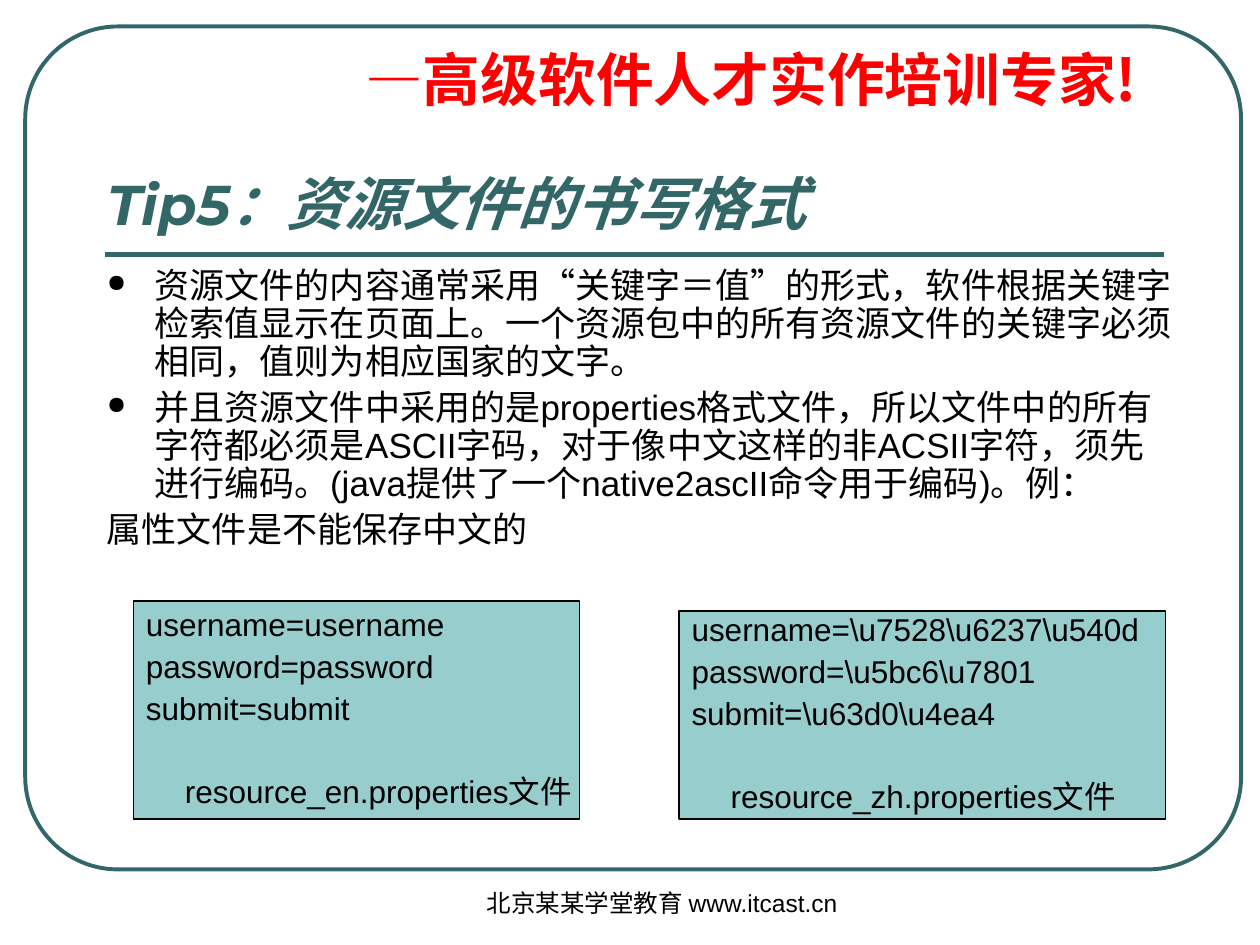
from lxml import etree
from pptx import Presentation, util as u
from pptx.dml.color import RGBColor
from pptx.enum import shapes, text
from pptx.oxml.ns import qn

# Content
SLOGAN = [("—", "Montserrat"), ("高级软件人才实作培训专家!", "Noto Sans CJK SC")]
TITLE = [("Tip5：", 32), ("资源文件的书写格式", 33)]
BULLETS = [
    "资源文件的内容通常采用“关键字＝值”的形式，软件根据关键字检索值显示在页面上。一个资源包中的所有资源文件的关键字必须相同，值则为相应国家的文字。",
    "并且资源文件中采用的是properties格式文件，所以文件中的所有字符都必须是ASCII字码，对于像中文这样的非ACSII字符，须先进行编码。(java提供了一个native2ascII命令用于编码)。例：",
]
REMARK = "属性文件是不能保存中文的"
FOOTER = "北京某某学堂教育 www.itcast.cn"
FILES = [
    ((1.06, 4.77, 3.54, 1.73),
     ["username=username", "password=password", "submit=submit"],
     "resource_en.properties文件"),
    ((5.39, 4.85, 3.86, 1.65),
     [r"username=\u7528\u6237\u540d", r"password=\u5bc6\u7801", r"submit=\u63d0\u4ea4"],
     "resource_zh.properties文件"),
]
TEAL, RED, BLACK, PALE = "336666", "FF0000", "000000", "97CDCC"
HANG = 0.38


def color(value):
    return RGBColor.from_string(value)


def inches(values):
    return [u.Inches(value) for value in values]


def style(font, size, name, ink, bold=False, italic=False):
    font.size, font.name = u.Pt(size), name
    font.color.rgb = color(ink)
    font.bold, font.italic = bold, italic


def indent(paragraph, left, first):
    properties = paragraph._p.get_or_add_pPr()
    properties.set("marL", str(u.Inches(left)))
    properties.set("indent", str(u.Inches(first)))
    return properties


def add_bullet(properties):
    bullet_color = etree.SubElement(properties, qn("a:buClr"))
    etree.SubElement(bullet_color, qn("a:srgbClr"), val=BLACK)
    etree.SubElement(properties, qn("a:buSzPct"), val="70000")
    etree.SubElement(properties, qn("a:buChar"), char="●")


def add_runs(paragraph, runs):
    for words, size, name, ink, bold, italic in runs:
        run = paragraph.add_run()
        run.text = words
        style(run.font, size, name, ink, bold, italic)


def add_text_box(slide, place):
    frame = slide.shapes.add_textbox(*inches(place)).text_frame
    frame.word_wrap = True
    return frame


def fill_lines(frame, lines, size, gap):
    frame.text = "\n".join(lines)
    for number, paragraph in enumerate(frame.paragraphs):
        paragraph.alignment = text.PP_ALIGN.LEFT
        paragraph.line_spacing = 0.9
        paragraph.space_before = u.Pt(gap if number else 0)
        indent(paragraph, HANG, -HANG)
        for run in paragraph.runs:
            style(run.font, size, "Arial", BLACK)


presentation = Presentation()
presentation.slide_width, presentation.slide_height = inches((10, 7.5))
slide = presentation.slides.add_slide(presentation.slide_layouts[5])

# Rounded frame and title rule
border = slide.shapes.add_shape(
    shapes.MSO_SHAPE.ROUNDED_RECTANGLE, *inches((0.2, 0.21, 9.65, 6.69)))
border.adjustments[0] = 0.11
border.shadow.inherit = False
border.fill.background()
border.line.color.rgb, border.line.width = color(TEAL), u.Pt(2.25)

rule = slide.shapes.add_connector(
    shapes.MSO_CONNECTOR.STRAIGHT, *inches((0.83, 2.02, 9.24, 2.02)))
rule.line.color.rgb, rule.line.width = color(TEAL), u.Pt(3)
etree.SubElement(rule._element.spPr, qn("a:effectLst"))

# Slogan
slogan = add_text_box(slide, (2.8, 0.36, 6.3, 1.09)).paragraphs[0]
slogan.line_spacing = 0.9
indent(slogan, HANG, -HANG)
add_runs(slogan, [(words, 33, name, RED, True, False) for words, name in SLOGAN])

# Title
title = slide.shapes.title
title.left, title.top, title.width, title.height = inches((0.75, 0.36, 8.42, 1.57))
title.text_frame.vertical_anchor = text.MSO_ANCHOR.BOTTOM
heading = title.text_frame.paragraphs[0]
heading.alignment = text.PP_ALIGN.LEFT
add_runs(heading, [(words, size, "Montserrat", TEAL, True, True) for words, size in TITLE])

# Body
body = add_text_box(slide, (0.75, 2.08, 8.66, 2.38))
fill_lines(body, BULLETS + [REMARK], 20, 5)
for paragraph in body.paragraphs[:len(BULLETS)]:
    add_bullet(paragraph._p.get_or_add_pPr())

# Property files, each with its caption set apart below
for place, lines, caption in FILES:
    card = slide.shapes.add_shape(shapes.MSO_SHAPE.RECTANGLE, *inches(place))
    card.shadow.inherit = False
    card.fill.solid()
    card.fill.fore_color.rgb = color(PALE)
    card.line.color.rgb, card.line.width = color(BLACK), u.Pt(0.75)
    frame = card.text_frame
    frame.word_wrap = False
    frame.vertical_anchor = text.MSO_ANCHOR.MIDDLE
    fill_lines(frame, lines + [caption], 18, 4.5)
    last = frame.paragraphs[-1]
    last.space_before = u.Pt(28)
    indent(last, 0.31, 0)

# Footer
footer = add_text_box(slide, (3.67, 7, 3.17, 0.5))
footer.text = FOOTER
footer.paragraphs[0].alignment = text.PP_ALIGN.CENTER
style(footer.paragraphs[0].runs[0].font, 14, "Arial", BLACK)

presentation.save("out.pptx")
